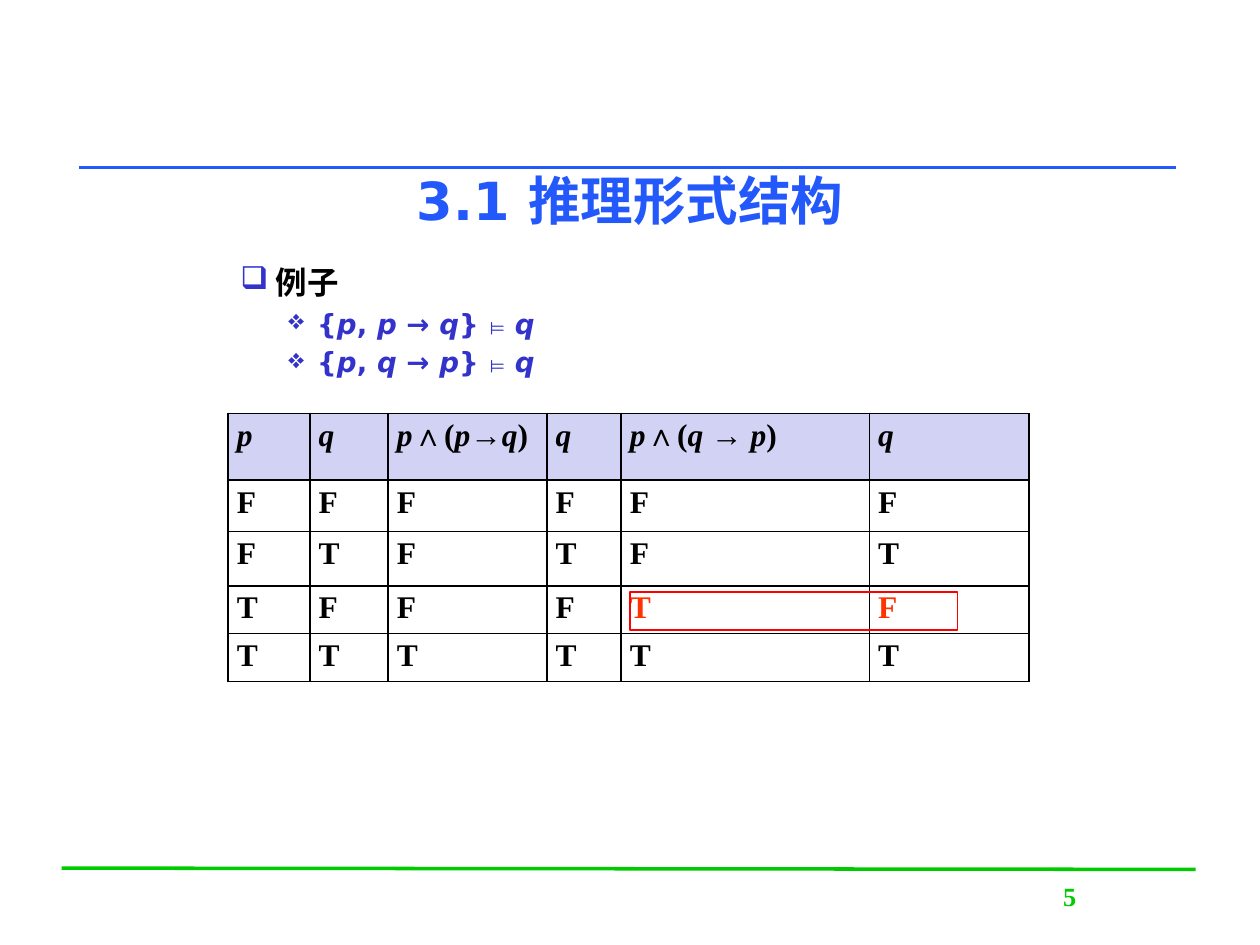
from dataclasses import dataclass
from itertools import groupby

from lxml import etree
from pptx import Presentation
from pptx.dml.color import RGBColor
from pptx.enum.shapes import MSO_CONNECTOR, MSO_SHAPE
from pptx.enum.text import MSO_ANCHOR, PP_ALIGN
from pptx.oxml.ns import qn
from pptx.util import Inches, Pt

STRAIGHT = MSO_CONNECTOR.STRAIGHT
RECTANGLE = MSO_SHAPE.RECTANGLE
LEFT, CENTER = PP_ALIGN.LEFT, PP_ALIGN.CENTER
TOP, MIDDLE = MSO_ANCHOR.TOP, MSO_ANCHOR.MIDDLE
ENTAILS = "⊨"


@dataclass(frozen=True)
class Theme:
    title: str = "2359FB"
    footer: str = "00CB00"
    accent: str = "3333CC"
    ink: str = "000000"
    header: str = "D2D2F4"
    warning: str = "FF3300"
    frame: str = "FF0000"
    sans: str = "DejaVu Sans"
    serif: str = "Times New Roman"
    mono: str = "Courier New"
    title_size: float = 30
    text_size: float = 18
    formula_size: float = 15.8
    footer_size: float = 15


class LogicSlide:
    """Draws styled elements on the current slide."""

    def __init__(self, slide, theme):
        self.slide = slide
        self.theme = theme

    def add_formula(self, paragraph, text, size, font, color):
        def kind(char):
            return char.islower(), char == ENTAILS

        for (variable, entails), chars in groupby(text, kind):
            run = paragraph.add_run()
            run.text = "".join(chars)
            run.font.size = Pt(size)
            run.font.name = self.theme.mono if entails else font
            run.font.bold = True
            run.font.italic = variable
            run.font.color.rgb = RGBColor.from_string(color)

    def text_frame(self, box, margins=(0.07, 0.04), anchor=TOP):
        frame = self.slide.shapes.add_textbox(*map(Inches, box)).text_frame
        frame.word_wrap = True
        frame.vertical_anchor = anchor
        frame.margin_left = frame.margin_right = Inches(margins[0])
        frame.margin_top = frame.margin_bottom = Inches(margins[1])
        return frame

    def label(self, box, text, size, font, color, anchor=TOP):
        paragraph = self.text_frame(box, anchor=anchor).paragraphs[0]
        paragraph.alignment = CENTER
        self.add_formula(paragraph, text, size, font, color)

    def bullets(self, box, items):
        frame = self.text_frame(box, (0.1, 0.05))
        for index, (level, text) in enumerate(items):
            paragraph = frame.add_paragraph() if index else frame.paragraphs[0]
            paragraph.alignment = LEFT
            paragraph.level = level
            if level:
                mark, margin, hang = "❖", 0.61, 0.23
                style = self.theme.formula_size, self.theme.sans, self.theme.accent
            else:
                mark, margin, hang = "❑", 0.28, 0.28
                style = self.theme.text_size, self.theme.serif, self.theme.ink
            if index:
                paragraph.space_before = Pt(0.2 * style[0])
            properties = paragraph._p.get_or_add_pPr()
            properties.set("marL", str(Inches(margin)))
            properties.set("indent", str(-Inches(hang)))
            mark_color = etree.SubElement(properties, qn("a:buClr"))
            etree.SubElement(mark_color, qn("a:srgbClr"), val=self.theme.accent)
            etree.SubElement(properties, qn("a:buChar"), char=mark)
            self.add_formula(paragraph, text, *style)

    def rule(self, start, end, color):
        line = self.slide.shapes.add_connector(
            STRAIGHT, *map(Inches, (*start, *end)))
        line.line.color.rgb = RGBColor.from_string(color)
        line.line.width = Pt(2)
        etree.SubElement(line._element.spPr, qn("a:effectLst"))

    def outline(self, box, color):
        frame = self.slide.shapes.add_shape(RECTANGLE, *map(Inches, box))
        frame.shadow.inherit = False
        frame.fill.background()
        frame.line.color.rgb = RGBColor.from_string(color)
        frame.line.width = Pt(1)

    def border(self, cell):
        properties = cell._tc.get_or_add_tcPr()
        for side in ("a:lnL", "a:lnR", "a:lnT", "a:lnB"):
            edge = etree.SubElement(properties, qn(side), w=str(Pt(1)))
            fill = etree.SubElement(edge, qn("a:solidFill"))
            etree.SubElement(fill, qn("a:srgbClr"), val=self.theme.ink)

    def truth_table(self, corner, widths, heights, rows, warnings):
        size = sum(widths), sum(heights)
        table = self.slide.shapes.add_table(
            len(rows), len(widths), *map(Inches, (*corner, *size))).table
        table.first_row = table.horz_banding = False
        for column, width in zip(table.columns, widths):
            column.width = Inches(width)
        for row, height in zip(table.rows, heights):
            row.height = Inches(height)
        for r, values in enumerate(rows):
            for c, value in enumerate(values):
                cell = table.cell(r, c)
                cell.margin_left = cell.margin_right = Inches(0.07)
                cell.margin_top = cell.margin_bottom = Inches(0.04)
                self.border(cell)
                if r == 0:
                    cell.fill.solid()
                    cell.fill.fore_color.rgb = RGBColor.from_string(self.theme.header)
                else:
                    cell.fill.background()
                color = self.theme.warning if (r, c) in warnings else self.theme.ink
                self.add_formula(cell.text_frame.paragraphs[0], value,
                                 self.theme.text_size, self.theme.serif, color)


def main():
    presentation = Presentation()
    presentation.slide_width, presentation.slide_height = Inches(10), Inches(7.5)
    theme = Theme()
    page = LogicSlide(
        presentation.slides.add_slide(presentation.slide_layouts[6]), theme)

    page.rule((0.49, 6.89), (9.49, 6.9), theme.footer)
    page.rule((0.63, 1.33), (9.33, 1.33), theme.title)
    page.label((7.7, 6.95, 1.58, 0.5), "5",
               theme.footer_size, theme.serif, theme.footer)
    page.bullets((1.81, 2.04, 6.44, 4.02), [
        (0, "例子"),
        (1, "{p, p → q} ⊨ q"),
        (1, "{p, q → p} ⊨ q"),
    ])
    headings = ["p", "q", "p∧(p→q)", "q", "p∧(q → p)", "q"]
    truth_values = ["FFFFFF", "FTFTFT", "TFFFTF", "TTTTTT"]
    page.truth_table(
        (1.81, 3.28),
        widths=[0.65, 0.62, 1.26, 0.59, 1.97, 1.27],
        heights=[0.53, 0.41, 0.43, 0.38, 0.38],
        rows=[headings, *truth_values],
        warnings={(3, 4), (3, 5)})
    page.outline((5, 4.7, 2.6, 0.3), theme.frame)
    page.label((1.81, 1.33, 6.38, 0.5), "3.1 推理形式结构",
               theme.title_size, theme.sans, theme.title, MIDDLE)
    presentation.save("out.pptx")


if __name__ == "__main__":
    main()
